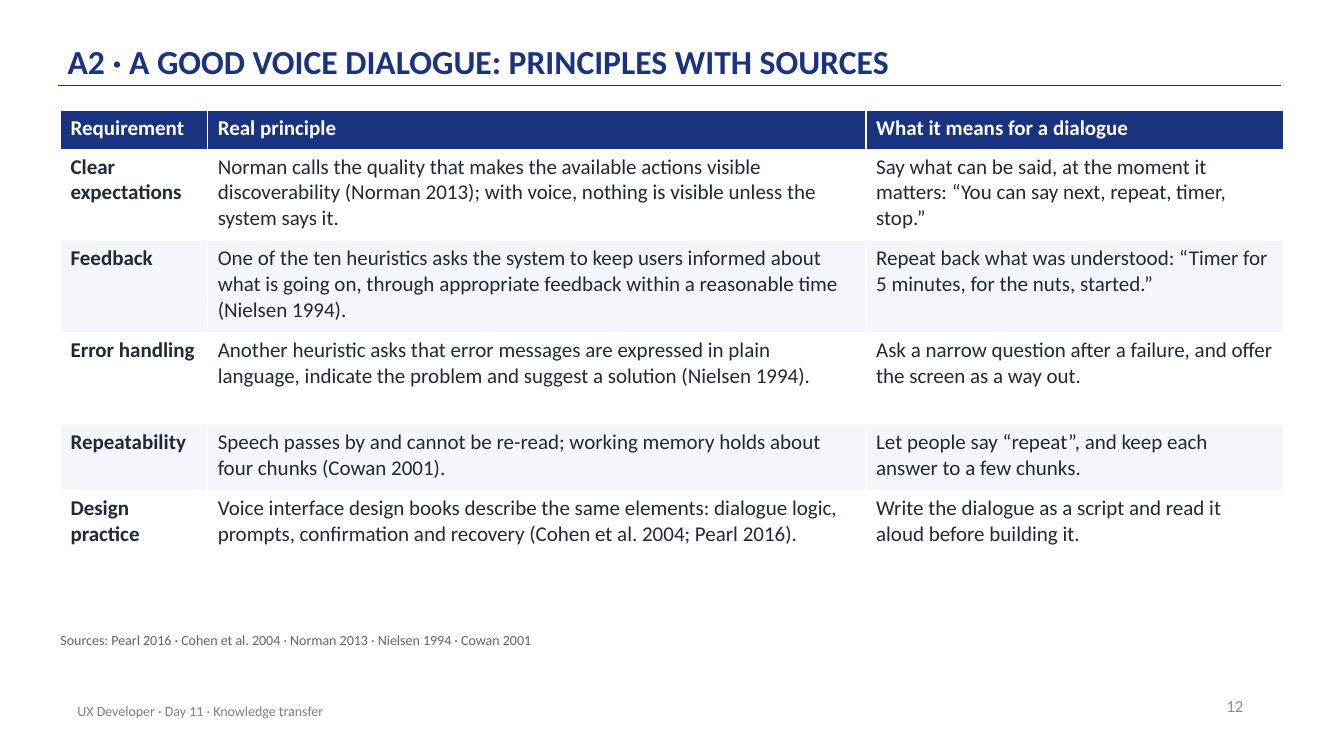
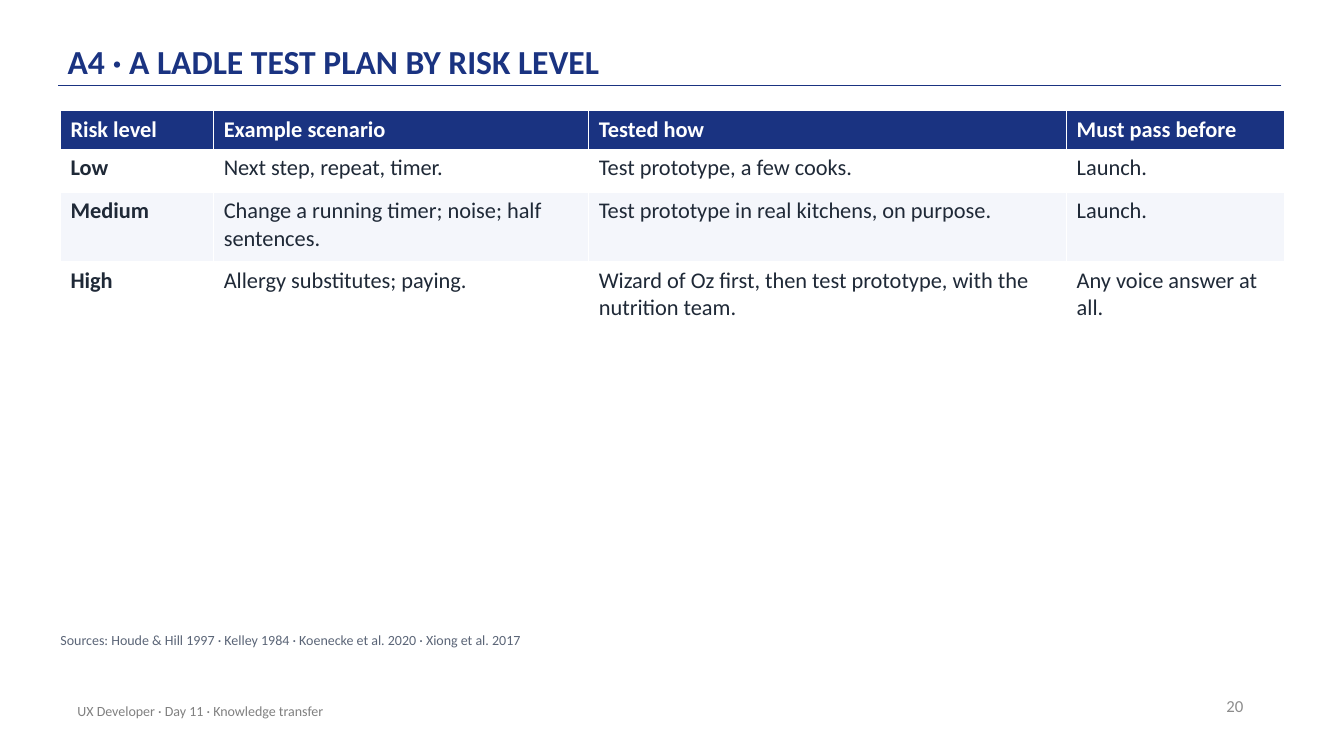
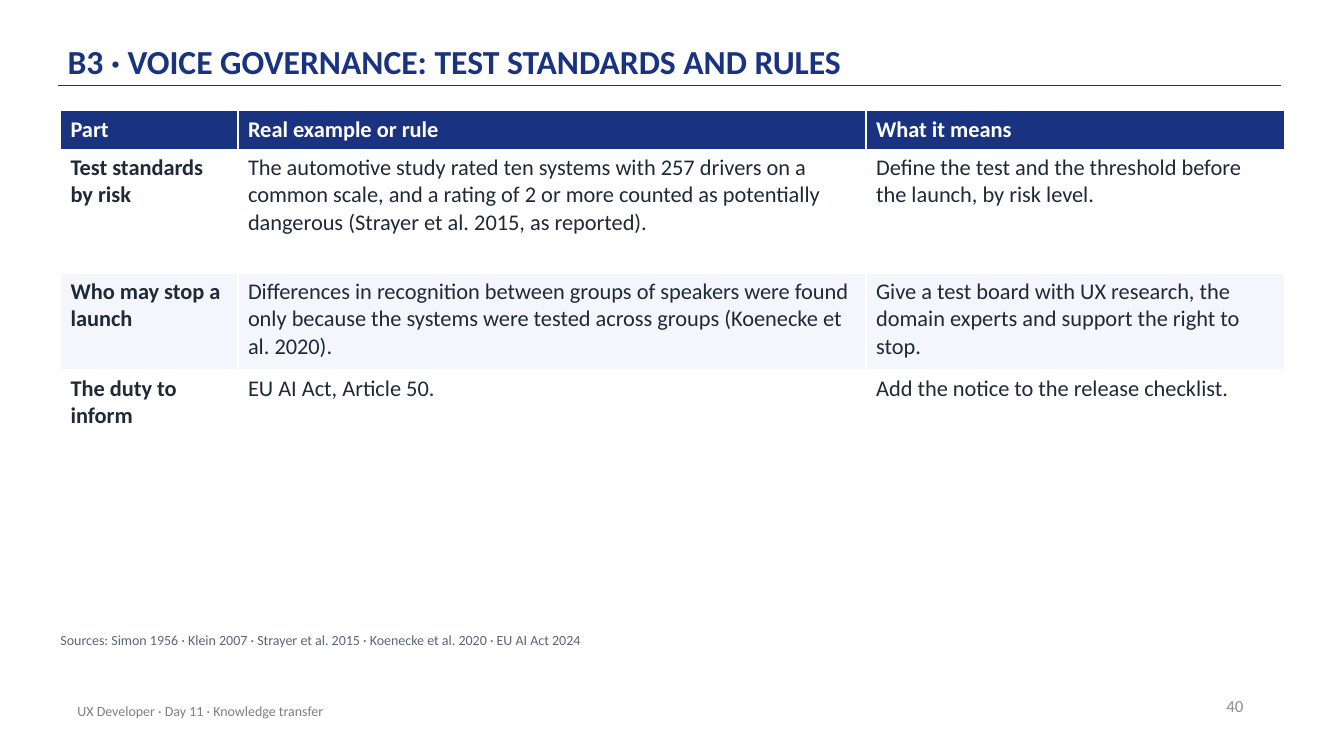
from lxml.etree import SubElement
from pptx import Presentation
from pptx.dml.color import RGBColor
from pptx.enum.shapes import MSO_CONNECTOR
from pptx.enum.text import MSO_ANCHOR as Anchor, MSO_AUTO_SIZE as AutoSize, PP_ALIGN as Align
from pptx.oxml.ns import qn
from pptx.util import Pt

NAVY = RGBColor(0x1A, 0x33, 0x81)
INK = RGBColor(0x1F, 0x29, 0x37)
SLATE = RGBColor(0x5B, 0x65, 0x77)
GREY = RGBColor(0x80, 0x80, 0x80)
LIGHT_GREY = RGBColor(0x8C, 0x8C, 0x8C)
WHITE = RGBColor(0xFF, 0xFF, 0xFF)
BAND = RGBColor(0xF4, 0xF6, 0xFB)

FONT = "Calibri"
EMU_PER_PX = 9144
SLIDE_SIZE = (1333, 750)
TITLE_BOX = (67, 12, 1100, 72)
TITLE_RULE = (1271, 85, 58, 85)
NUMBER_BOX = (943, 680, 300, 40)
FOOTER_BOX = (67, 685, 670, 40)
SOURCES_BOX = (60, 627, 1210, 30)
TABLE_ORIGIN = (60, 110)
FOOTER = "UX Developer · Day 11 · Knowledge transfer"

SLIDES = [
    {
        "title": "A2 · A GOOD VOICE DIALOGUE: PRINCIPLES WITH SOURCES",
        "number": "12",
        "size": 15,
        "columns": (146, 653, 414),
        "heights": (38, 91, 91, 91, 66, 91),
        "rows": [
            ("Requirement", "Real principle", "What it means for a dialogue"),
            ("Clear expectations",
             "Norman calls the quality that makes the available actions visible discoverability "
             "(Norman 2013); with voice, nothing is visible unless the system says it.",
             "Say what can be said, at the moment it matters: “You can say next, repeat, timer, stop.”"),
            ("Feedback",
             "One of the ten heuristics asks the system to keep users informed about what is going on, "
             "through appropriate feedback within a reasonable time (Nielsen 1994).",
             "Repeat back what was understood: “Timer for 5 minutes, for the nuts, started.”"),
            ("Error handling",
             "Another heuristic asks that error messages are expressed in plain language, "
             "indicate the problem and suggest a solution (Nielsen 1994).",
             "Ask a narrow question after a failure, and offer the screen as a way out."),
            ("Repeatability",
             "Speech passes by and cannot be re-read; working memory holds about four chunks (Cowan 2001).",
             "Let people say “repeat”, and keep each answer to a few chunks."),
            ("Design practice",
             "Voice interface design books describe the same elements: dialogue logic, prompts, "
             "confirmation and recovery (Cohen et al. 2004; Pearl 2016).",
             "Write the dialogue as a script and read it aloud before building it."),
        ],
        "sources": "Sources: Pearl 2016 · Cohen et al. 2004 · Norman 2013 · Nielsen 1994 · Cowan 2001",
    },
    {
        "title": "A4 · A LADLE TEST PLAN BY RISK LEVEL",
        "number": "20",
        "size": 16,
        "columns": (152, 372, 474, 216),
        "heights": (38, 43, 69, 69),
        "rows": [
            ("Risk level", "Example scenario", "Tested how", "Must pass before"),
            ("Low", "Next step, repeat, timer.", "Test prototype, a few cooks.", "Launch."),
            ("Medium", "Change a running timer; noise; half sentences.",
             "Test prototype in real kitchens, on purpose.", "Launch."),
            ("High", "Allergy substitutes; paying.",
             "Wizard of Oz first, then test prototype, with the nutrition team.",
             "Any voice answer at all."),
        ],
        "sources": "Sources: Houde & Hill 1997 · Kelley 1984 · Koenecke et al. 2020 · Xiong et al. 2017",
    },
    {
        "title": "B3 · VOICE GOVERNANCE: TEST STANDARDS AND RULES",
        "number": "40",
        "size": 16,
        "columns": (176, 623, 415),
        "heights": (38, 123, 96, 69),
        "rows": [
            ("Part", "Real example or rule", "What it means"),
            ("Test standards by risk",
             "The automotive study rated ten systems with 257 drivers on a common scale, and a rating "
             "of 2 or more counted as potentially dangerous (Strayer et al. 2015, as reported).",
             "Define the test and the threshold before the launch, by risk level."),
            ("Who may stop a launch",
             "Differences in recognition between groups of speakers were found only because the "
             "systems were tested across groups (Koenecke et al. 2020).",
             "Give a test board with UX research, the domain experts and support the right to stop."),
            ("The duty to inform", "EU AI Act, Article 50.", "Add the notice to the release checklist."),
        ],
        "sources": "Sources: Simon 1956 · Klein 2007 · Strayer et al. 2015 · Koenecke et al. 2020 · EU AI Act 2024",
    },
]


def px(*lengths):
    return [length * EMU_PER_PX for length in lengths]


def write(text_frame, text, size, color, bold=False, align=Align.LEFT):
    text_frame.text = text
    paragraph = text_frame.paragraphs[0]
    paragraph.alignment = align
    font = paragraph.runs[0].font
    font.name, font.size, font.bold = FONT, Pt(size), bold
    font.color.rgb = color
    return paragraph


def set_insets(text_frame, horizontal, vertical):
    text_frame.margin_left = text_frame.margin_right = horizontal * EMU_PER_PX
    text_frame.margin_top = text_frame.margin_bottom = vertical * EMU_PER_PX


def add_title(slide, text):
    title = slide.shapes.title
    title.left, title.top, title.width, title.height = px(*TITLE_BOX)
    text_frame = title.text_frame
    text_frame.vertical_anchor = Anchor.BOTTOM
    set_insets(text_frame, 0, 3)
    write(text_frame, text, 24, NAVY, True).line_spacing = 0.9
    rule = slide.shapes.add_connector(MSO_CONNECTOR.STRAIGHT, *px(*TITLE_RULE))
    rule.line.color.rgb = NAVY
    rule.line.width = Pt(1)
    SubElement(rule._element.spPr, qn("a:effectLst"))


def add_text(slide, box, text, size, color, align=Align.LEFT):
    text_frame = slide.shapes.add_textbox(*px(*box)).text_frame
    text_frame.word_wrap = True
    text_frame.vertical_anchor = Anchor.MIDDLE
    write(text_frame, text, size, color, align=align)
    return text_frame


def add_sources(slide, text):
    text_frame = add_text(slide, SOURCES_BOX, text, 10, SLATE)
    text_frame.vertical_anchor = Anchor.TOP
    text_frame.auto_size = AutoSize.SHAPE_TO_FIT_TEXT
    set_insets(text_frame, 0, 0)
    text_frame.paragraphs[0].space_after = Pt(6)


def add_grid(slide, rows, columns, heights, size):
    extent = px(*TABLE_ORIGIN, sum(columns), sum(heights))
    table = slide.shapes.add_table(len(rows), len(columns), *extent).table
    for column, width in zip(table.columns, px(*columns)):
        column.width = width
    for row, height in zip(table.rows, px(*heights)):
        row.height = height
    for row_index, row in enumerate(rows):
        header = row_index == 0
        fill = NAVY if header else WHITE if row_index % 2 else BAND
        for column_index, text in enumerate(row):
            cell = table.cell(row_index, column_index)
            cell.fill.solid()
            cell.fill.fore_color.rgb = fill
            write(cell.text_frame, text, size, WHITE if header else INK, header or column_index == 0)


def main():
    presentation = Presentation()
    presentation.slide_width, presentation.slide_height = px(*SLIDE_SIZE)
    for content in SLIDES:
        slide = presentation.slides.add_slide(presentation.slide_layouts[5])
        add_title(slide, content["title"])
        add_text(slide, NUMBER_BOX, content["number"], 12, LIGHT_GREY, Align.RIGHT)
        add_text(slide, FOOTER_BOX, FOOTER, 10, GREY)
        add_grid(slide, content["rows"], content["columns"], content["heights"], content["size"])
        add_sources(slide, content["sources"])
    presentation.save("out.pptx")


if __name__ == "__main__":
    main()
